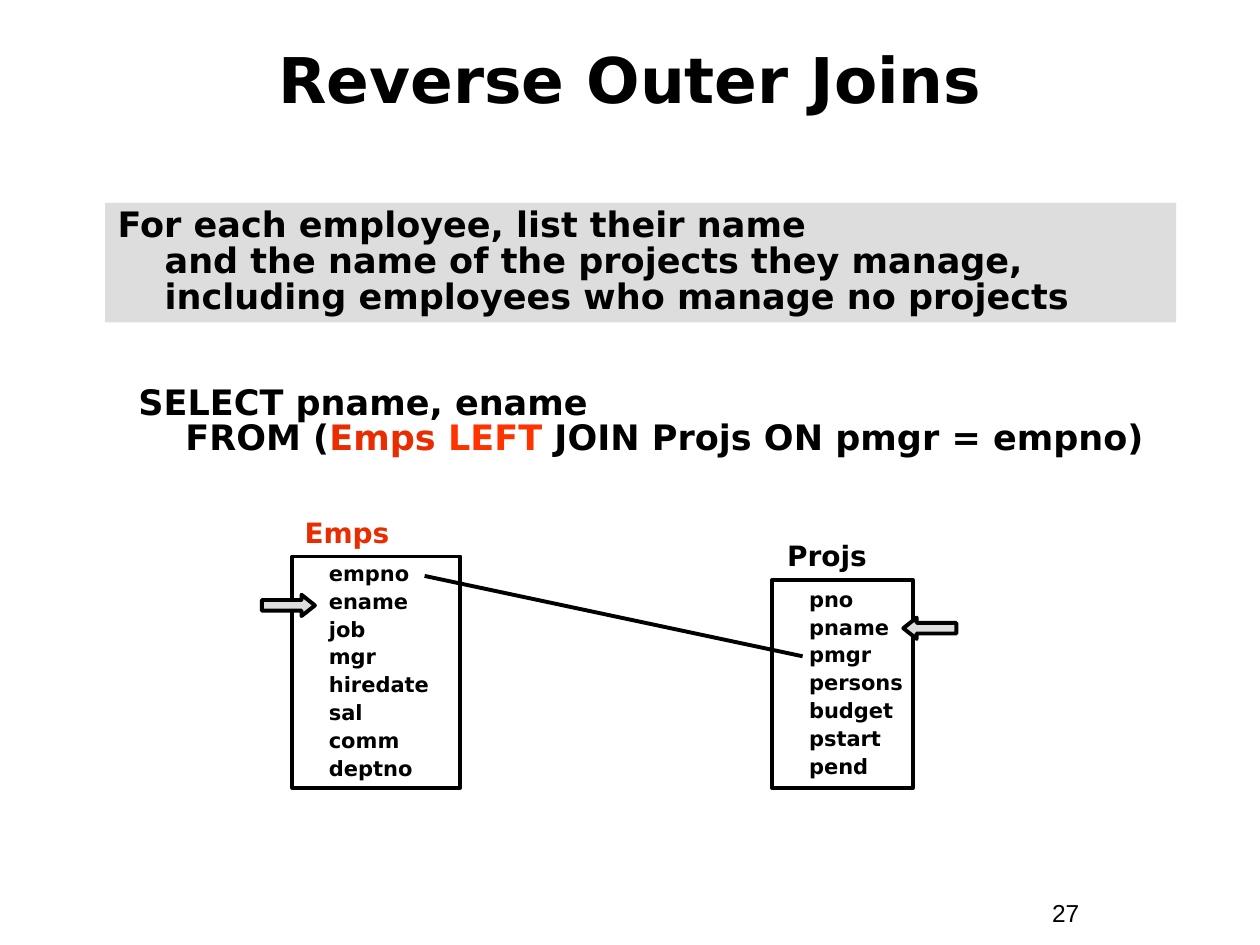
from lxml import etree
from pptx import Presentation
from pptx.dml.color import RGBColor
from pptx.enum.shapes import MSO_CONNECTOR, MSO_SHAPE
from pptx.enum.text import MSO_ANCHOR, MSO_AUTO_SIZE, PP_ALIGN
from pptx.oxml.ns import qn
from pptx.util import Cm, Pt

BLACK = RGBColor(0x00, 0x00, 0x00)
GREY = RGBColor(0xDD, 0xDD, 0xDD)
DARK_RED = RGBColor(0xEA, 0x2D, 0x00)
RED = RGBColor(0xFF, 0x33, 0x00)
RECTANGLE = MSO_SHAPE.RECTANGLE
RIGHT_ARROW, LEFT_ARROW = MSO_SHAPE.RIGHT_ARROW, MSO_SHAPE.LEFT_ARROW
STRAIGHT = MSO_CONNECTOR.STRAIGHT
LEFT, CENTER = PP_ALIGN.LEFT, PP_ALIGN.CENTER
TOP, MIDDLE = MSO_ANCHOR.TOP, MSO_ANCHOR.MIDDLE
NO_AUTOFIT = MSO_AUTO_SIZE.NONE
HEADING_FONT = "DejaVu Sans"


def add_run(paragraph, text, size, color=BLACK, font_name=HEADING_FONT, bold=True):
    run = paragraph.add_run()
    run.text = text
    run.font.size = Pt(size)
    run.font.name = font_name
    run.font.bold = bold
    run.font.color.rgb = color


def add_box(kind, left, top, width, height, fill=None, outlined=False):
    """Add a shadowless preset shape, measured in centimetres, with wrapped text."""
    shape = slide.shapes.add_shape(kind, Cm(left), Cm(top), Cm(width), Cm(height))
    shape.shadow.inherit = False
    if fill is None:
        shape.fill.background()
    else:
        shape.fill.solid()
        shape.fill.fore_color.rgb = fill
    if outlined:
        shape.line.color.rgb = BLACK
        shape.line.width = Pt(2.25)
    else:
        shape.line.fill.background()
    shape.text_frame.word_wrap = True
    shape.text_frame.vertical_anchor = TOP
    shape.text_frame.paragraphs[0].alignment = LEFT
    return shape


presentation = Presentation()
presentation.slide_width = Cm(25.4)
presentation.slide_height = Cm(19.05)
slide = presentation.slides.add_slide(presentation.slide_layouts[5])

# Title
title = slide.shapes.title
title.left, title.top, title.width, title.height = Cm(0.85), Cm(0.42), Cm(23.7), Cm(2.33)
title.text_frame.auto_size = NO_AUTOFIT
title.text_frame.vertical_anchor = MIDDLE
title.text_frame.paragraphs[0].alignment = CENTER
add_run(title.text_frame.paragraphs[0], "Reverse Outer Joins", 36)

# Question and the query that answers it: each line is a list of (text, colour)
question = [
    [("For each employee, list their name ", BLACK)],
    [("and the name of the projects they manage,", BLACK)],
    [("including employees who manage no projects", BLACK)],
]
query = [
    [("SELECT pname, ename", BLACK)],
    [("FROM (", BLACK), ("Emps ", DARK_RED), ("LEFT", RED),
     (" JOIN Projs ON pmgr = empno)", BLACK)],
]
for lines, left, top, width, height, fill in [
    (question, 2.12, 4.09, 21.59, 2.41, GREY),
    (query, 2.54, 7.67, 21.39, 1.7, None),
]:
    statement = add_box(RECTANGLE, left, top, width, height, fill)
    paragraph = statement.text_frame.paragraphs[0]
    paragraph.line_spacing = 0.85
    paragraph.space_before = Pt(12.5)
    properties = paragraph._p.get_or_add_pPr()
    properties.set("marL", str(Cm(0.95)))
    properties.set("indent", str(-Cm(0.95)))
    for index, line in enumerate(lines):
        if index:
            paragraph.add_line_break()
        for text, color in line:
            add_run(paragraph, text, 20, color)

# Tables with their column names
emps_columns = ["empno", "ename", "job", "mgr", "hiredate", "sal", "comm", "deptno"]
projs_columns = ["pno", "pname", "pmgr", "persons", "budget", "pstart", "pend"]
for name, color, columns, left, top, width, height, name_left, name_top in [
    ("Emps", DARK_RED, emps_columns, 5.89, 11.22, 3.39, 4.66, 5.89, 10.34),
    ("Projs", BLACK, projs_columns, 15.57, 11.69, 2.83, 4.2, 15.62, 10.8),
]:
    table_box = add_box(RECTANGLE, left, top, width, height, outlined=True)
    text_frame = table_box.text_frame
    text_frame.vertical_anchor = MIDDLE
    text_frame.margin_left = Cm(0.74)
    text_frame.margin_right = 0
    for index, column in enumerate(columns):
        paragraph = text_frame.add_paragraph() if index else text_frame.paragraphs[0]
        paragraph.alignment = LEFT
        paragraph.line_spacing = 0.9
        paragraph.space_before = Pt(3)
        add_run(paragraph, column, 12)

    label = add_box(RECTANGLE, name_left, name_top, 3.45, 0.86)
    paragraph = label.text_frame.paragraphs[0]
    paragraph.line_spacing = 0.9
    paragraph.space_before = Pt(4)
    add_run(paragraph, name, 16, color)

# Join from empno to pmgr
join_line = slide.shapes.add_connector(STRAIGHT, Cm(8.56), Cm(11.61), Cm(16.18), Cm(13.23))
join_line.line.color.rgb = BLACK
join_line.line.width = Pt(2.25)
etree.SubElement(join_line._element.spPr, qn("a:effectLst"))

# Arrows at the selected columns
for kind, left, top in [(LEFT_ARROW, 18.21, 12.45), (RIGHT_ARROW, 5.28, 11.99)]:
    arrow = add_box(kind, left, top, 1.07, 0.43, GREY, outlined=True)
    arrow.adjustments[0] = 0.5
    arrow.adjustments[1] = 0.63

# Slide number
number_box = add_box(RECTANGLE, 20.96, 17.98, 2.34, 0.86)
number_box.text_frame.paragraphs[0].space_before = Pt(8.8)
add_run(number_box.text_frame.paragraphs[0], "27", 14, font_name="Arial", bold=False)

presentation.save("out.pptx")
